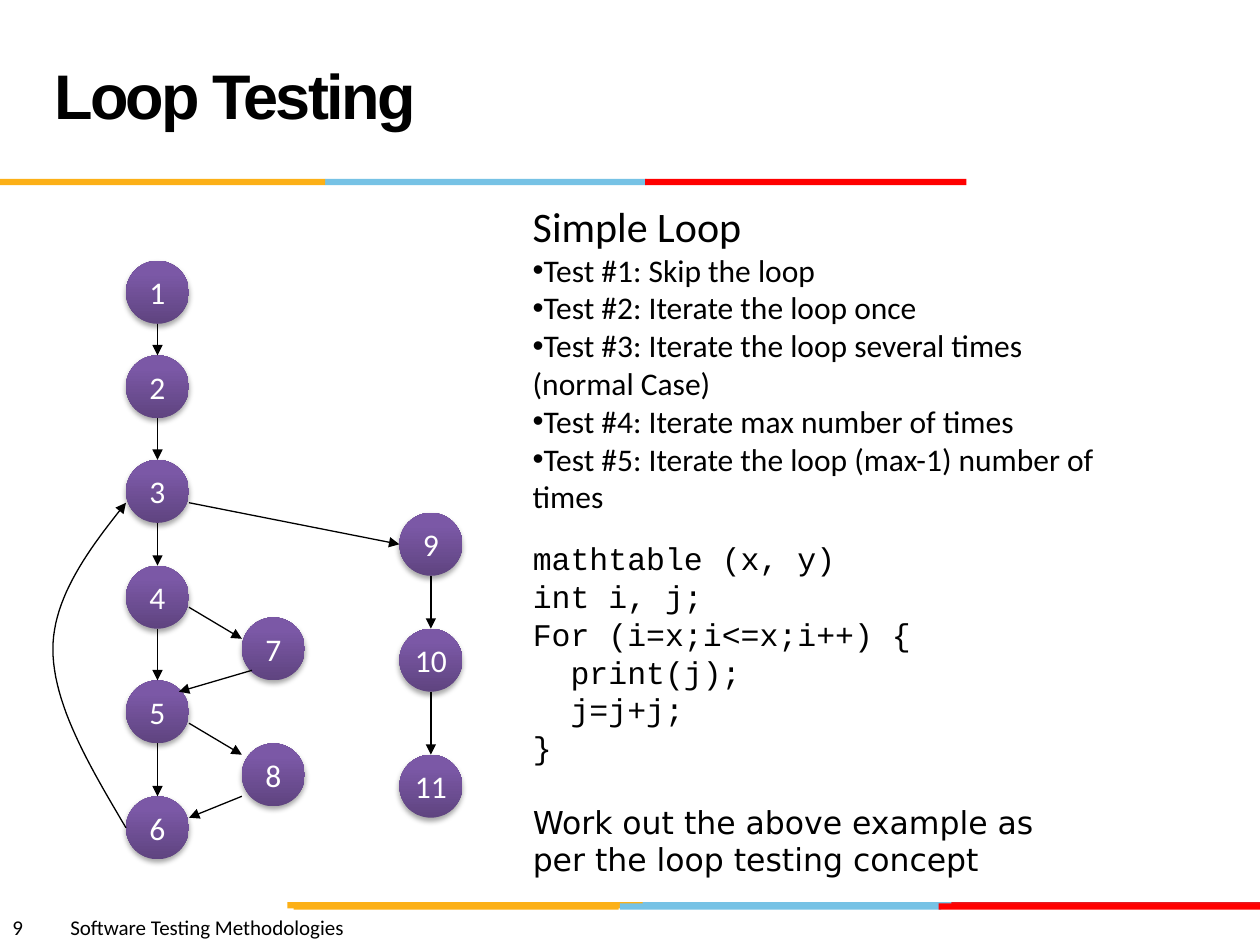
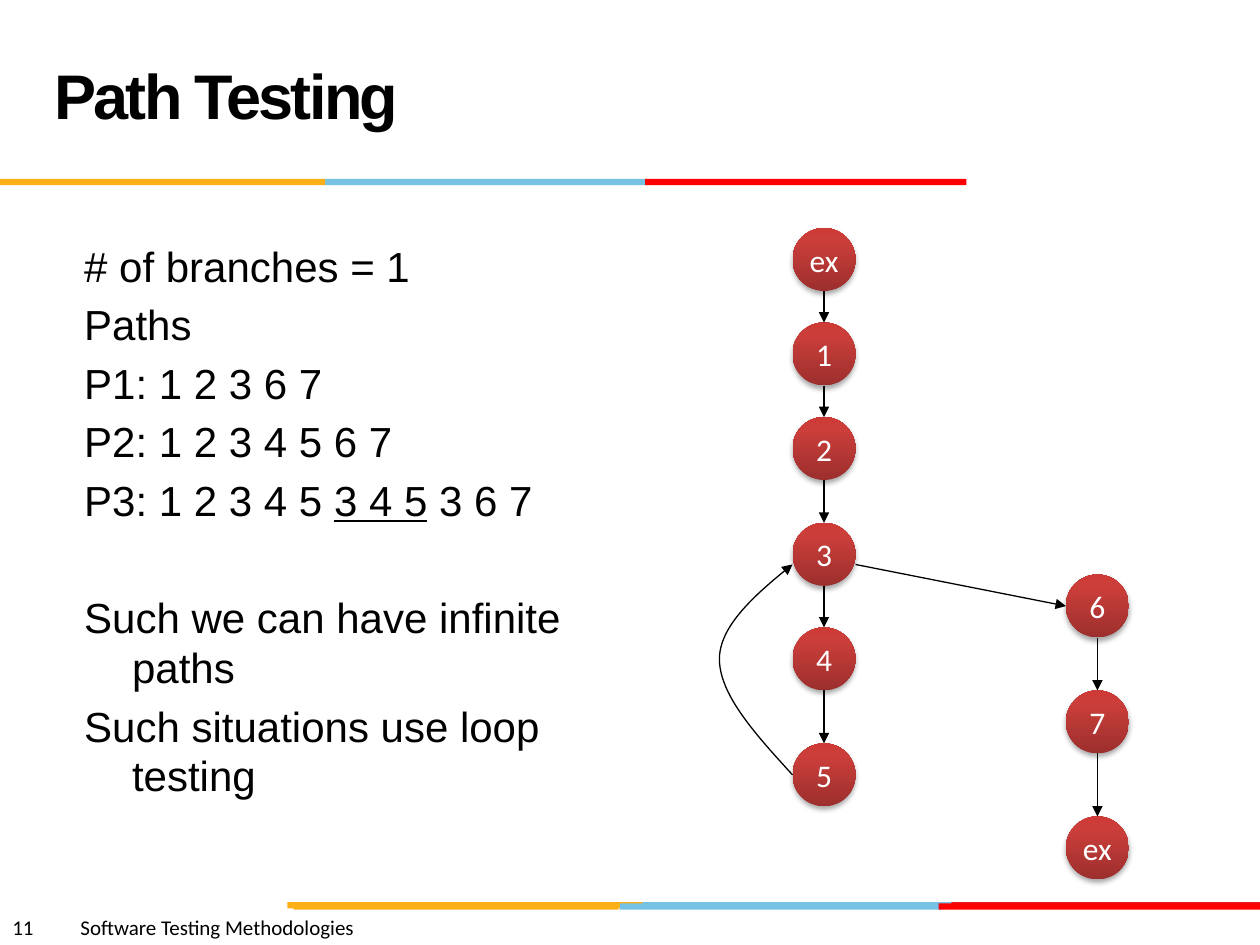
"""Build two slides on loop testing and path testing with control-flow graphs."""
import copy

import pptx
import pptx.dml.color
import pptx.enum.dml
import pptx.enum.shapes
import pptx.enum.text
import pptx.oxml
import pptx.oxml.ns
import pptx.util
from lxml import etree

Inches = pptx.util.Inches
Pt = pptx.util.Pt
RGBColor = pptx.dml.color.RGBColor
qn = pptx.oxml.ns.qn
MSO_SHAPE = pptx.enum.shapes.MSO_SHAPE

BLACK = RGBColor(0x00, 0x00, 0x00)
WHITE = RGBColor(0xFF, 0xFF, 0xFF)
AMBER = RGBColor(0xFC, 0xB0, 0x17)
SKY = RGBColor(0x76, 0xC2, 0xE5)
CRIMSON = RGBColor(0xE3, 0x1C, 0x24)
RED = RGBColor(0xFF, 0x00, 0x00)
PURPLE_RAMP = (RGBColor(0x5F, 0x44, 0x80), RGBColor(0x7B, 0x58, 0xA6), RGBColor(0x7C, 0x57, 0xA8))
RED_RAMP = (RGBColor(0x9C, 0x2F, 0x2D), RGBColor(0xCB, 0x3E, 0x3A), RGBColor(0xCE, 0x3B, 0x37))

BANDS = [
    (7.16, [(5.06, 2.55, SKY), (7.55, 2.45, CRIMSON), (2.28, 2.82, AMBER)]),
    (7.17, [(4.92, 2.55, SKY), (2.33, 2.58, AMBER), (7.45, 2.55, RED)]),
    (1.42, [(2.58, 2.55, SKY), (0, 2.58, AMBER), (5.12, 2.55, RED)]),
]
NODE_SIZE = 0.5
LOOP_CURVE = [(0, 0), (0.5, 0.14), (1, 0.29), (1, 0.45), (1, 0.62), (0.5, 0.81), (0, 1)]
CURVE_STEPS = 24


def format_runs(paragraph, size, font, color=BLACK):
    """Give every run of a paragraph one size, font and colour."""
    for span in paragraph.runs:
        span.font.size = Pt(size)
        span.font.name = font
        span.font.color.rgb = color


def add_text(page, left, top, width, height, lines):
    """Add a wrapping text box with one paragraph per line and return its paragraphs."""
    box = page.shapes.add_textbox(Inches(left), Inches(top), Inches(width), Inches(height))
    box.text_frame.word_wrap = True
    box.text_frame.text = "\n".join(lines)
    return box.text_frame.paragraphs


def add_bullet(paragraph):
    """Put a round bullet directly in front of a paragraph."""
    properties = paragraph._p.get_or_add_pPr()
    etree.SubElement(properties, qn("a:buFont"), typeface="Arial")
    etree.SubElement(properties, qn("a:buChar"), char="•")


def add_bands(page):
    """Draw the three-colour bands under the title and above the footer."""
    for top, pieces in BANDS:
        for left, width, color in pieces:
            band = page.shapes.add_shape(
                MSO_SHAPE.RECTANGLE, Inches(left), Inches(top), Inches(width), Inches(0.05))
            band.shadow.inherit = False
            band.fill.solid()
            band.fill.fore_color.rgb = color
            band.line.fill.background()


def add_footer(page, number, tab):
    """Write the slide number and the course name, set apart by a tab stop."""
    paragraph = add_text(page, 0, 7.21, 5, 0.3, [f"{number}\tSoftware Testing Methodologies"])[0]
    stops = etree.SubElement(paragraph._p.get_or_add_pPr(), qn("a:tabLst"))
    etree.SubElement(stops, qn("a:tab"), pos=str(Inches(tab)), algn="l")
    format_runs(paragraph, 12, "Calibri")


def set_title(page, text):
    """Place and format the title placeholder."""
    title = page.shapes.title
    title.left, title.top = Inches(0.33), Inches(0.17)
    title.width, title.height = Inches(6.92), Inches(1.25)
    frame = title.text_frame
    frame.text = text
    frame.auto_size = pptx.enum.text.MSO_AUTO_SIZE.NONE
    frame.vertical_anchor = pptx.enum.text.MSO_ANCHOR.MIDDLE
    paragraph = frame.paragraphs[0]
    paragraph.alignment = pptx.enum.text.PP_ALIGN.LEFT
    paragraph.line_spacing = Pt(36)
    format_runs(paragraph, 36, "Arial")
    span = paragraph.runs[0]
    span.font.bold = True
    span._r.get_or_add_rPr().set("spc", "-150")


def add_page(deck, title, number, tab):
    """Add a title-only slide with the shared bands and footer."""
    page = deck.slides.add_slide(deck.slide_layouts[5])
    add_bands(page)
    add_footer(page, number, tab)
    set_title(page, title)
    return page


def fill_ramp(shape, ramp):
    """Fill a shape with a vertical gradient of three colours, dark at the bottom."""
    shape.fill.gradient()
    shape.fill.gradient_angle = 90
    last = shape._element.spPr.findall(".//" + qn("a:gs"))[-1]
    last.addnext(copy.deepcopy(last))
    for stop, color, position in zip(shape.fill.gradient_stops, ramp, (0, 0.8, 1)):
        stop.color.rgb = color
        stop.position = position


def add_soft_shadow(shape):
    """Give a shape a soft shadow straight below it."""
    shape.shadow.inherit = False
    effects = shape._element.spPr.find(qn("a:effectLst"))
    shadow = etree.SubElement(
        effects, qn("a:outerShdw"), blurRad=str(Pt(3.1)), dist=str(Pt(1.8)),
        dir="5400000", rotWithShape="0")
    color = etree.SubElement(shadow, qn("a:srgbClr"), val="000000")
    etree.SubElement(color, qn("a:alpha"), val="35000")


def add_node(page, label, left, top, ramp):
    """Draw one round node of a flow graph."""
    node = page.shapes.add_shape(
        MSO_SHAPE.FLOWCHART_CONNECTOR, Inches(left), Inches(top),
        Inches(NODE_SIZE), Inches(NODE_SIZE))
    fill_ramp(node, ramp)
    node.line.fill.background()
    add_soft_shadow(node)
    frame = node.text_frame
    frame.word_wrap = False
    frame.vertical_anchor = pptx.enum.text.MSO_ANCHOR.MIDDLE
    frame.text = label
    frame.paragraphs[0].alignment = pptx.enum.text.PP_ALIGN.CENTER
    format_runs(frame.paragraphs[0], 18, "Calibri", WHITE)


def style_arrow(shape):
    """Make a thin black line that ends in a triangle."""
    shape.line.color.rgb = BLACK
    shape.line.width = Pt(0.75)
    properties = shape._element.spPr
    etree.SubElement(properties.find(qn("a:ln")), qn("a:tailEnd"), type="triangle")
    if properties.find(qn("a:effectLst")) is None:
        etree.SubElement(properties, qn("a:effectLst"))


def add_arrow(page, x1, y1, x2, y2):
    """Draw a straight arrow."""
    arrow = page.shapes.add_connector(
        pptx.enum.shapes.MSO_CONNECTOR.STRAIGHT, Inches(x1), Inches(y1), Inches(x2), Inches(y2))
    style_arrow(arrow)


def cubic_point(corners, t):
    """Return the point at t on a cubic curve."""
    weights = ((1 - t) ** 3, 3 * t * (1 - t) ** 2, 3 * t ** 2 * (1 - t), t ** 3)
    return tuple(sum(w * c[axis] for w, c in zip(weights, corners)) for axis in (0, 1))


def add_back_arrow(page, right, top, width, height):
    """Draw the curved arrow that leads up the left side, back to the loop head."""
    corners = [(Inches(right - width * x), Inches(top + height * y)) for x, y in LOOP_CURVE]
    points = [corners[0]]
    for half in (corners[:4], corners[3:]):
        points += [cubic_point(half, step / CURVE_STEPS) for step in range(1, CURVE_STEPS + 1)]
    points.reverse()
    builder = page.shapes.build_freeform(*points[0])
    builder.add_line_segments(points[1:], close=False)
    curve = builder.convert_to_shape()
    curve.fill.background()
    curve.shadow.inherit = False
    style_arrow(curve)


def add_column(page, left, nodes, ramp, linked=True):
    """Draw a column of nodes, each linked by an arrow to the next."""
    for label, top in nodes:
        add_node(page, label, left, top, ramp)
    if linked:
        center = left + NODE_SIZE / 2
        for (_, upper), (_, lower) in zip(nodes, nodes[1:]):
            add_arrow(page, center, upper + NODE_SIZE, center, lower)


def add_loop_slide(deck):
    """Build the loop testing slide."""
    page = add_page(deck, "Loop Testing", 9, 0.46)
    main_column = [("1", 2.07), ("2", 2.82), ("3", 3.65), ("4", 4.49), ("5", 5.4), ("6", 6.32)]
    add_column(page, 1, main_column, PURPLE_RAMP)
    add_column(page, 1.92, [("7", 4.9), ("8", 5.9)], PURPLE_RAMP, linked=False)
    add_column(page, 3.17, [("9", 4.07), ("10", 4.99), ("11", 5.99)], PURPLE_RAMP)
    for ends in [(1.5, 4.82, 1.92, 5.07), (2, 5.32, 1.42, 5.49), (1.5, 5.74, 1.92, 5.99),
                 (1.92, 6.32, 1.5, 6.49), (1.5, 3.99, 3.17, 4.32)]:
        add_arrow(page, *ends)
    add_back_arrow(page, 1, 3.99, 0.58, 2.58)

    heading, *tests = add_text(page, 4.13, 1.54, 4.77, 2.6, [
        "Simple Loop",
        "Test #1: Skip the loop",
        "Test #2: Iterate the loop once",
        "Test #3: Iterate the loop several times (normal Case)",
        "Test #4: Iterate max number of times",
        "Test #5: Iterate the loop (max-1) number of times",
    ])
    format_runs(heading, 24, "Calibri")
    for test in tests:
        add_bullet(test)
        format_runs(test, 18, "Calibri")

    *code, task = add_text(page, 4.13, 4.23, 4.35, 2.8, [
        "mathtable (x, y)",
        "int i, j;",
        "For (i=x;i<=x;i++) {",
        "  print(j);",
        "  j=j+j;",
        "}",
        "Work out the above example as per the loop testing concept",
    ])
    for line in code:
        line.line_spacing = Pt(21.6)
        format_runs(line, 18, "Courier New")
    task.space_before = Pt(21)
    format_runs(task, 18, "DejaVu Sans")


def add_path_slide(deck):
    """Build the path testing slide."""
    page = add_page(deck, "Path Testing", 11, 0.54)
    paragraphs = add_text(page, 0.57, 1.86, 4.58, 4.81, [
        "# of branches = 1",
        "Paths",
        "P1: 1 2 3 6 7",
        "P2: 1 2 3 4 5 6 7",
        "P3: 1 2 3 4 5 ",
        "Such we can have infinite paths",
        "Such situations use loop testing",
    ])
    third_path, conclusion = paragraphs[4:6]
    repeated = third_path.add_run()
    repeated.text = "3 4 5"
    repeated.font.underline = True
    third_path.add_run().text = " 3 6 7"
    for paragraph in paragraphs:
        properties = paragraph._p.get_or_add_pPr()
        properties.set("marL", str(Inches(0.38)))
        properties.set("indent", str(-Inches(0.38)))
        paragraph.line_spacing = Pt(28.5)
        format_runs(paragraph, 24, "Arial")
    for paragraph in paragraphs[1:]:
        paragraph.space_before = Pt(5)
    conclusion.space_before = Pt(38.5)

    main_column = [("ex", 1.81), ("1", 2.56), ("2", 3.31), ("3", 4.15), ("4", 4.98), ("5", 5.9)]
    add_column(page, 6.29, main_column, RED_RAMP)
    add_column(page, 8.46, [("6", 4.56), ("7", 5.48), ("ex", 6.48)], RED_RAMP)
    add_arrow(page, 6.79, 4.48, 8.46, 4.81)
    add_back_arrow(page, 6.29, 4.48, 0.58, 1.67)


def main():
    """Build and save the deck."""
    deck = pptx.Presentation()
    deck.slide_width, deck.slide_height = Inches(10), Inches(7.5)
    add_loop_slide(deck)
    add_path_slide(deck)
    deck.save("out.pptx")


if __name__ == "__main__":
    main()
